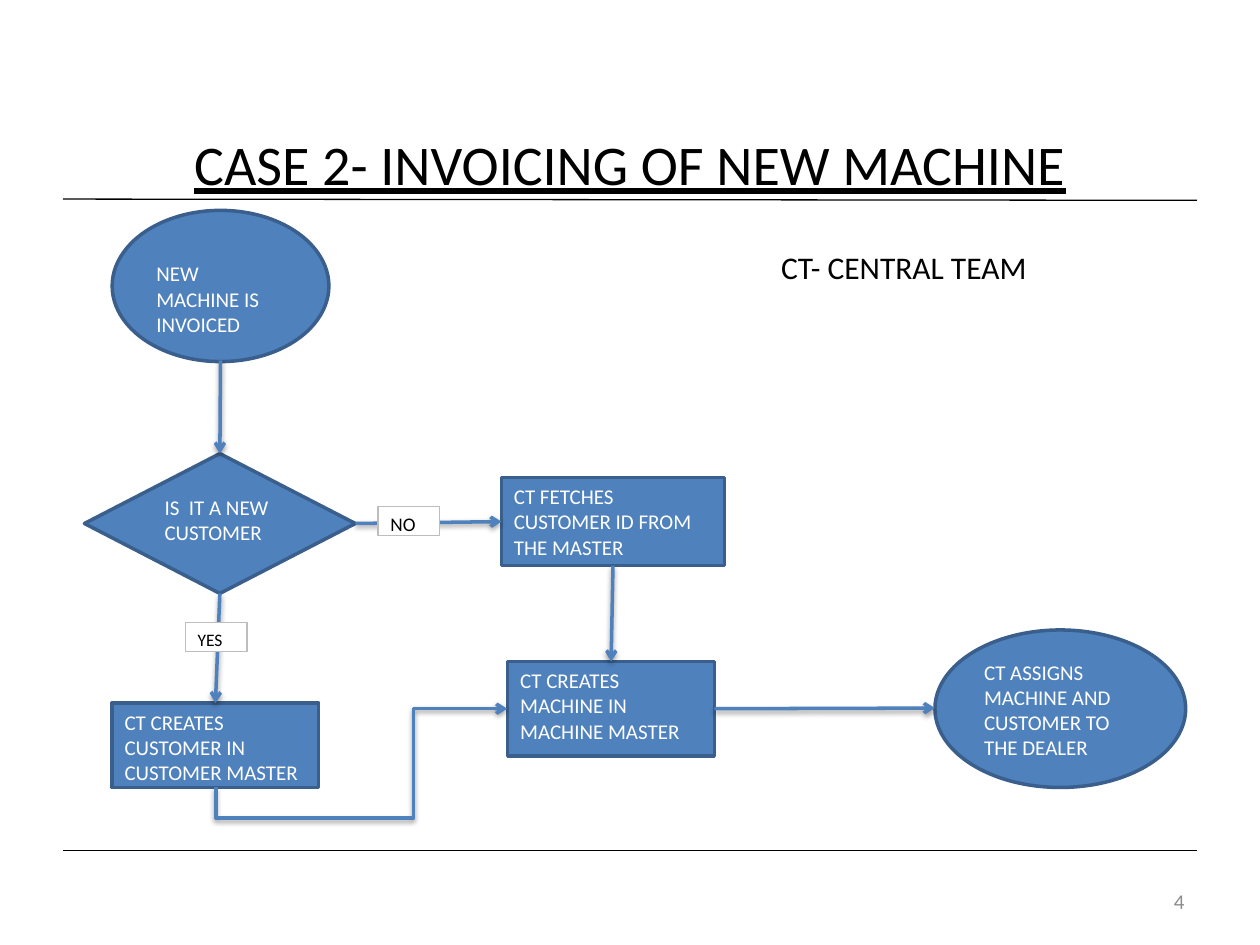
"""Build the flowchart slide for invoicing a new machine."""
import pptx
import pptx.dml.color
import pptx.enum.shapes
import pptx.enum.text
import pptx.oxml
import pptx.util
from lxml import etree

Inches, Pt = pptx.util.Inches, pptx.util.Pt
Shape = pptx.enum.shapes.MSO_SHAPE
Link = pptx.enum.shapes.MSO_CONNECTOR
Anchor = pptx.enum.text.MSO_ANCHOR
Align = pptx.enum.text.PP_ALIGN
NS = 'xmlns:a="http://schemas.openxmlformats.org/drawingml/2006/main"'
HUES = {"fill": "4F81BD", "edge": "3A5F8C", "white": "FFFFFF",
        "black": "000000", "tag": "BDBDBD", "grey": "8C8C8C"}


def write(shape, text, size, hue, anchor=Anchor.TOP, align=Align.LEFT):
    frame = shape.text_frame
    frame.text = text
    frame.word_wrap = True
    frame.vertical_anchor = anchor
    para = frame.paragraphs[0]
    para.alignment = align
    font = para.runs[0].font
    font.name, font.size = "Calibri", Pt(size)
    font.color.rgb = pptx.dml.color.RGBColor.from_string(HUES[hue])
    return font


def stroke(line, hue, width):
    line.color.rgb = pptx.dml.color.RGBColor.from_string(HUES[hue])
    line.width = Pt(width)


deck = pptx.Presentation()
deck.slide_width, deck.slide_height = Inches(10), Inches(7.5)
slide = deck.slides.add_slide(deck.slide_layouts[5])
shapes = slide.shapes

for start, end in ((6.75, 6.75), (1.58, 1.59)):
    rule = shapes.add_connector(
        Link.STRAIGHT, Inches(0.5), Inches(start), Inches(9.5), Inches(end))
    stroke(rule.line, "black", 0.75)
    etree.SubElement(rule._element.spPr, pptx.oxml.ns.qn("a:effectLst"))

title = shapes.title
title.left, title.top = Inches(0.5), Inches(0.67)
title.width, title.height = Inches(9), Inches(1.25)
write(title, "CASE 2- INVOICING OF NEW MACHINE", 32, "black",
      Anchor.MIDDLE, Align.CENTER).underline = True

steps = {
    "start": (Shape.OVAL, 0.89, 1.67, 1.72, 1.2, "NEW MACHINE IS INVOICED"),
    "check": (Shape.FLOWCHART_DECISION, 0.67, 3.6, 2.15, 1.11,
              "IS  IT A NEW CUSTOMER"),
    "client": (Shape.RECTANGLE, 0.89, 5.58, 1.64, 0.67,
               "CT CREATES CUSTOMER IN CUSTOMER MASTER"),
    "fetch": (Shape.RECTANGLE, 3.98, 3.79, 1.77, 0.7,
              "CT FETCHES CUSTOMER ID FROM THE MASTER"),
    "machine": (Shape.RECTANGLE, 4.03, 5.25, 1.64, 0.75,
                "CT CREATES MACHINE IN MACHINE MASTER"),
    "assign": (Shape.OVAL, 7.42, 5, 1.99, 1.25,
               "CT ASSIGNS MACHINE AND CUSTOMER TO THE DEALER"),
}
nodes = {}
for name, (kind, left, top, width, height, text) in steps.items():
    node = shapes.add_shape(
        kind, Inches(left), Inches(top), Inches(width), Inches(height))
    node.shadow.inherit = False
    node.fill.solid()
    node.fill.fore_color.rgb = pptx.dml.color.RGBColor.from_string(HUES["fill"])
    stroke(node.line, "edge", 2)
    write(node, text, 12, "white")
    nodes[name] = node
nodes["start"].text_frame.vertical_anchor = Anchor.MIDDLE
nodes["start"].text_frame.margin_top = Inches(0.25)

flows = [
    (Link.STRAIGHT, (1.75, 2.86), (1.72, 3.6), None, ("check", 0)),
    (Link.STRAIGHT, (1.74, 4.71), (1.71, 5.58), ("check", 2), ("client", 0)),
    (Link.STRAIGHT, (2.82, 4.16), (3.98, 4.14), ("check", 3), ("fetch", 1)),
    (Link.STRAIGHT, (4.87, 4.48), (4.85, 5.25), ("fetch", 2), ("machine", 0)),
    (Link.ELBOW, (1.71, 6.25), (4.03, 5.62), ("client", 2), ("machine", 1)),
    (Link.STRAIGHT, (5.67, 5.62), (7.42, 5.62), ("machine", 3), None),
]
for kind, start, end, source, target in flows:
    flow = shapes.add_connector(kind, *map(Inches, start + end))
    if source:
        flow.begin_connect(nodes[source[0]], source[1])
    if target:
        flow.end_connect(nodes[target[0]], target[1])
    stroke(flow.line, "fill", 2)
    flow.line._get_or_add_ln().append(
        pptx.oxml.parse_xml(f'<a:tailEnd {NS} type="arrow"/>'))
    props = flow._element.spPr
    props.append(pptx.oxml.parse_xml(
        f'<a:effectLst {NS}><a:outerShdw blurRad="{Pt(3.1)}" dist="{Pt(1.6)}" '
        f'dir="5400000" rotWithShape="0"><a:srgbClr val="{HUES["black"]}">'
        '<a:alpha val="38000"/></a:srgbClr></a:outerShdw></a:effectLst>'))
    if kind == Link.ELBOW:
        frame = props.find(pptx.oxml.ns.qn("a:xfrm"))
        frame.attrib.pop("flipV", None)
        frame.set("rot", "16200000")
        flow.left, flow.top = Inches(2.56), Inches(4.78)
        flow.width, flow.height = Inches(0.62), Inches(2.31)
        shape = props.find(pptx.oxml.ns.qn("a:prstGeom"))
        props.replace(shape, pptx.oxml.parse_xml(
            f'<a:prstGeom {NS} prst="bentConnector4"><a:avLst>'
            '<a:gd name="adj1" fmla="val -40000"/>'
            '<a:gd name="adj2" fmla="val 67800"/></a:avLst></a:prstGeom>'))

for text, left, top, size in (("YES", 1.47, 4.94, 10), ("NO", 3, 4.02, 11)):
    tag = shapes.add_shape(
        Shape.RECTANGLE, Inches(left), Inches(top), Inches(0.49), Inches(0.23))
    tag.shadow.inherit = False
    tag.fill.solid()
    tag.fill.fore_color.rgb = pptx.dml.color.RGBColor.from_string(HUES["white"])
    stroke(tag.line, "tag", 0.75)
    write(tag, text, size, "black")

key = shapes.add_textbox(Inches(6.1), Inches(1.92), Inches(2.32), Inches(0.4))
write(key, "CT- CENTRAL TEAM", 18, "black")
page = shapes.add_textbox(Inches(7.17), Inches(6.95), Inches(2.33), Inches(0.4))
write(page, "4", 12, "grey", Anchor.MIDDLE, Align.RIGHT)

deck.save("out.pptx")
